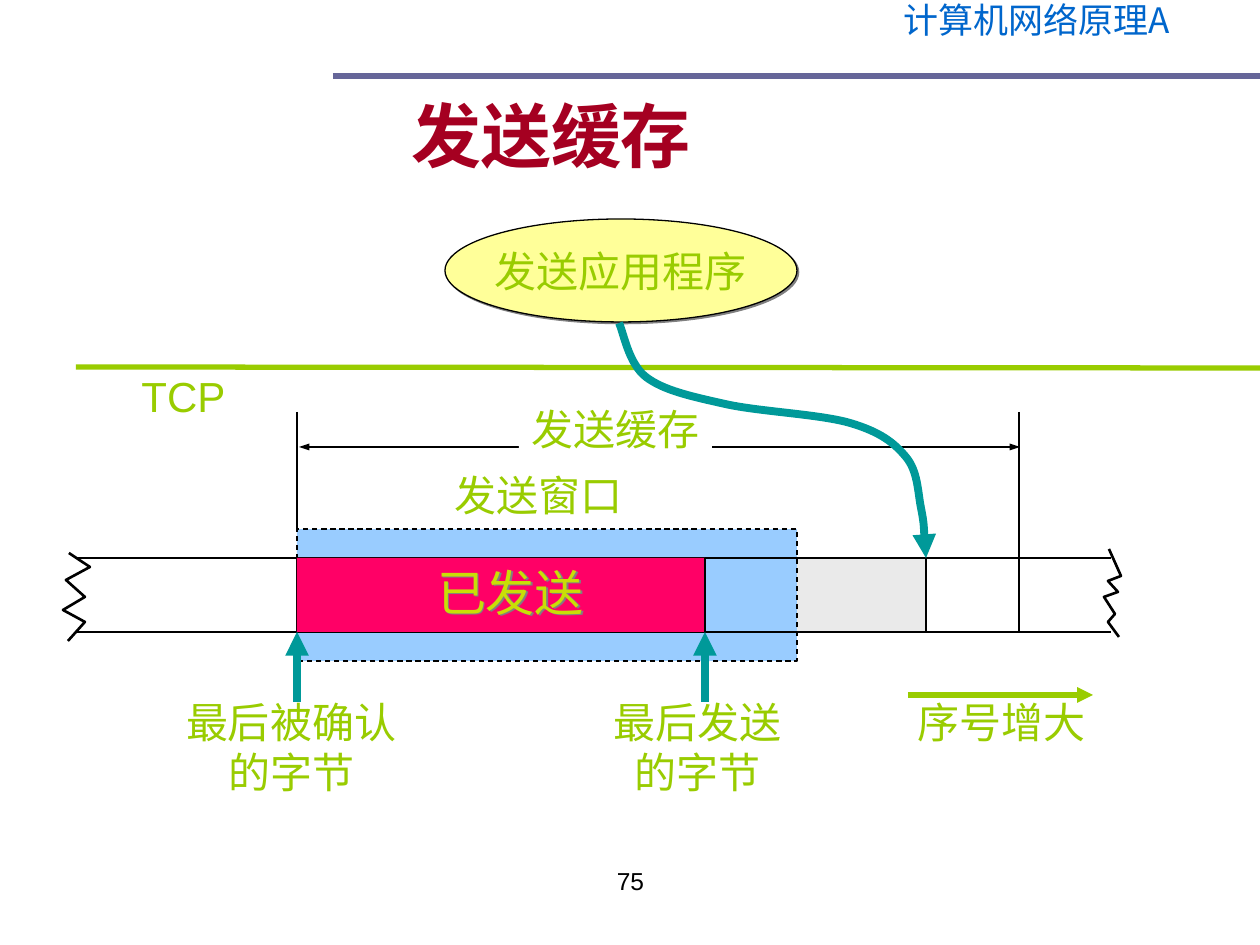
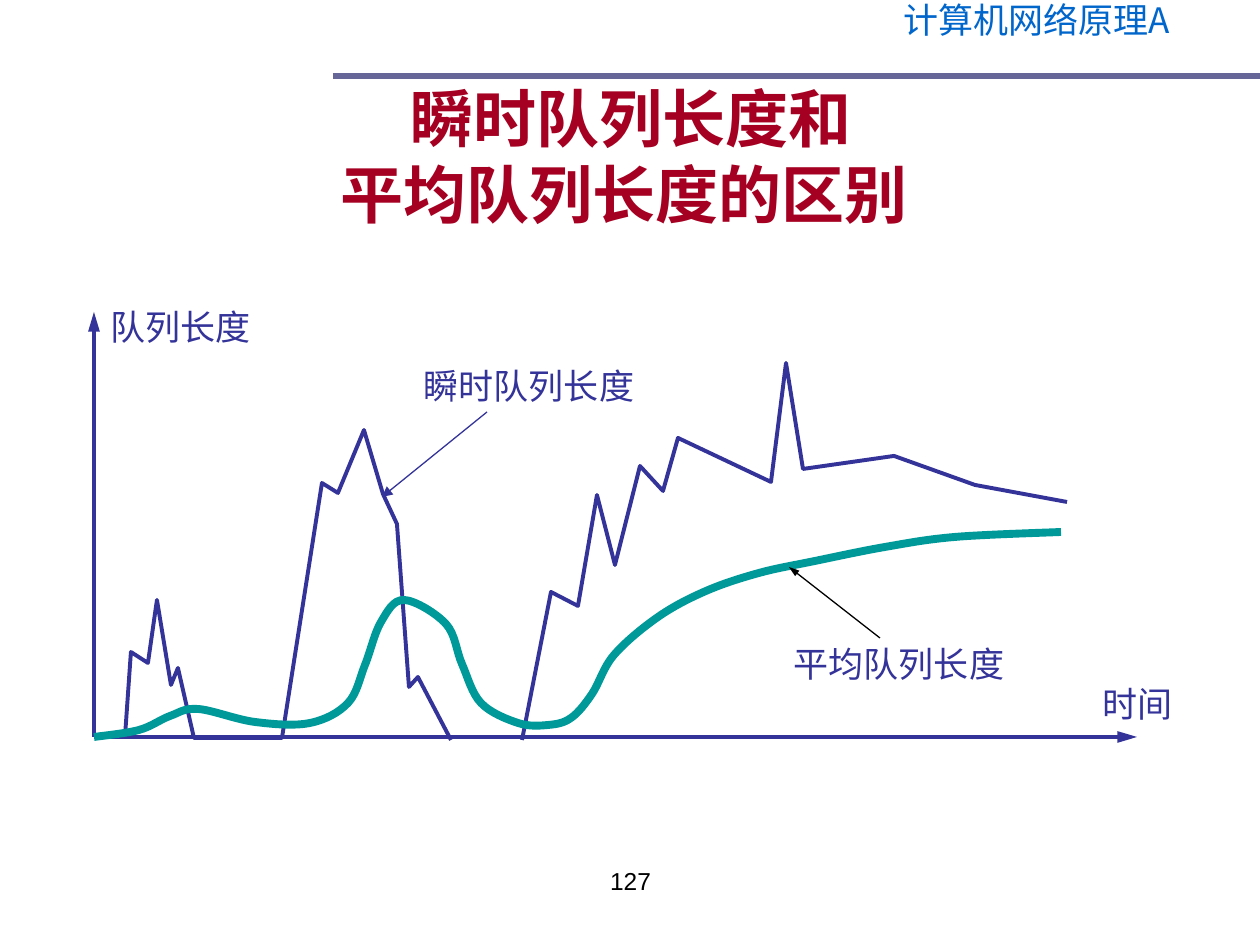
from dataclasses import dataclass

from lxml.etree import SubElement
from pptx import Presentation
from pptx.dml.color import RGBColor
from pptx.enum.dml import MSO_LINE
from pptx.enum.shapes import MSO_CONNECTOR, MSO_SHAPE
from pptx.enum.text import MSO_ANCHOR, PP_ALIGN
from pptx.oxml.ns import qn
from pptx.util import Emu, Pt

EMU_PER_PX = 914400 / 126
SLIDE_SIZE = (1260, 945)


@dataclass(frozen=True)
class Theme:
    title: str = "A50021"
    course: str = "0066CC"
    rule: str = "666699"
    lime: str = "99CC00"
    teal: str = "009999"
    indigo: str = "333399"
    black: str = "000000"
    white: str = "FFFFFF"
    app: str = "FFFF99"
    window: str = "99CCFF"
    sent: str = "FF0066"
    sent_text: str = "C9DE06"
    unsent: str = "EAEAEA"
    shadow: str = "808080"
    sans: str = "Arial"
    serif: str = "Times New Roman"
    cjk: str = "Noto Sans CJK SC"
    thin: float = 0.75
    torn: float = 1.5
    plot: float = 2.25
    rule_width: float = 3
    thick: float = 4.5


T = Theme()
THIN = {"color": T.black, "width": T.thin}
TORN = {"color": T.black, "width": T.torn}
LIME = {"color": T.lime, "width": T.rule_width}
TEAL = {"color": T.teal, "width": T.thick}
INDIGO = {"color": T.indigo, "width": T.plot}
TO_END = {"ends": ("tailEnd",)}
BOTH_ENDS = {"ends": ("headEnd", "tailEnd")}
NARROW_HEAD = {"head": {"w": "sm"}}
LONG_HEAD = {"head": {"len": "lg"}}

BUFFER_TEXT = {"size": 24, "color": T.lime, "font": T.sans}
SENT_TEXT = {"size": 28, "color": T.sent_text, "font": T.sans, "shadow": True}
QUEUE_TEXT = {"size": 20, "color": T.indigo, "font": T.serif}
COURSE_TEXT = {"size": 20, "color": T.course, "font": T.cjk, "spacing": 0.8}
NUMBER_TEXT = {"size": 14, "color": T.black, "font": T.sans, "wrap": True}
TITLE_TEXT = {"color": T.title, "font": T.sans, "bold": True, "wrap": True,
              "anchor": MSO_ANCHOR.MIDDLE}

COURSE = "计算机网络原理A"
ACKED, SENT, WINDOW_END, WRITTEN, BUFFER_END = 297, 705, 797, 926, 1019
BAND_TOP, BAND_BOTTOM, BAND_LEFT, BAND_RIGHT = 558, 632, 76, 1111
BAND_HEIGHT = BAND_BOTTOM - BAND_TOP
MARGIN = 29
MARK_TOP, POINTER_START = 412, 702
ORIGIN = (94, 737)

SEND_BUFFER = [
    ("line", (299, 447), (1020, 447), THIN | BOTH_ENDS | NARROW_HEAD),
    ("label", (174, 690, 234, 113), ["最后被确认", "的字节"], BUFFER_TEXT),
    ("block", (SENT, BAND_TOP, WRITTEN - SENT, BAND_HEIGHT), {"fill": T.unsent}),
    ("block", (445, 219, 352, 103),
     {"fill": T.app, "line": THIN, "preset": MSO_SHAPE.OVAL, "shadow": True,
      "lines": ["发送应用程序"], "text": BUFFER_TEXT}),
    ("line", (76, 367), (1260, 368), LIME),
    ("block", (ACKED, BAND_TOP - MARGIN, WINDOW_END - ACKED, BAND_HEIGHT + 2 * MARGIN),
     {"fill": T.window, "line": THIN | {"dash": MSO_LINE.DASH}}),
    *[("line", (BAND_LEFT, y), (BAND_RIGHT, y), THIN) for y in (BAND_TOP, BAND_BOTTOM)],
    *[("line", (x, BAND_TOP), (x, BAND_BOTTOM), THIN) for x in (ACKED, WRITTEN)],
    ("label", (519, 397, 193, 63), ["发送缓存"], BUFFER_TEXT | {"fill": T.white}),
    ("label", (601, 690, 193, 113), ["最后发送", "的字节"], BUFFER_TEXT),
    ("label", (442, 463, 193, 63), ["发送窗口"], BUFFER_TEXT),
    ("block", (ACKED, BAND_TOP, SENT - ACKED, BAND_HEIGHT), {"fill": T.sent}),
    ("line", (SENT, BAND_TOP), (SENT, BAND_BOTTOM), THIN),
    ("label", (425, 556, 171, 72), ["已发送"], SENT_TEXT),
    *[("line", (x, POINTER_START), (x, BAND_BOTTOM), TEAL | TO_END)
      for x in (ACKED, SENT)],
    ("line", (ACKED, MARK_TOP), (ACKED, BAND_TOP - MARGIN), THIN),
    ("line", (BUFFER_END, MARK_TOP), (BUFFER_END, BAND_BOTTOM), THIN),
    ("trace", [(619, 323), (646, 377), (725, 404), (850, 423), (906, 457),
               (921, 508), (WRITTEN, BAND_TOP)], TEAL | TO_END | {"curved": True}),
    ("label", (129, 364, 109, 63), ["TCP"], BUFFER_TEXT),
    ("trace", [(1109, 549), (1121, 576), (1108, 581), (1118, 592), (1104, 597),
               (1115, 614), (1108, 622), (1119, 637)], TORN),
    ("trace", [(69, 553), (90, 567), (66, 580), (85, 597), (63, 610),
               (85, 622), (68, 641)], TORN),
    ("line", (908, 695), (1093, 695), LIME | TO_END),
    ("label", (905, 690, 193, 63), ["序号增大"], BUFFER_TEXT),
]

QUEUE_LENGTHS = [
    ("label", (98, 299, 165, 55), ["队列长度"], QUEUE_TEXT),
    ("line", ORIGIN, (1137, 737), INDIGO | TO_END | LONG_HEAD),
    ("line", ORIGIN, (94, 312), INDIGO | TO_END | LONG_HEAD),
    ("label", (1091, 676, 94, 55), ["时间"], QUEUE_TEXT),
    ("trace", [(125, 737), (131, 652), (148, 663), (157, 600), (171, 685), (178, 668),
               (194, 738), (282, 738), (322, 483), (338, 493), (364, 430), (383, 494),
               (397, 524), (409, 687), (418, 677), (451, 740)], INDIGO),
    ("trace", [(522, 740), (551, 592), (578, 606), (597, 495), (615, 565), (640, 466),
               (663, 491), (678, 438), (771, 482), (786, 363), (803, 469), (894, 456),
               (975, 485), (1067, 502)], INDIGO),
    ("trace", [ORIGIN, (139, 730), (170, 716), (198, 709), (255, 722), (310, 723),
               (348, 703), (365, 665), (381, 622), (404, 600), (446, 624), (462, 664),
               (481, 703), (518, 723), (548, 725), (571, 718), (592, 694), (614, 655),
               (658, 617), (706, 591), (759, 573), (815, 561), (885, 547), (955, 537),
               (1061, 532)], TEAL | {"curved": True}),
    ("label", (411, 358, 236, 55), ["瞬时队列长度"], QUEUE_TEXT),
    ("label", (781, 636, 236, 55), ["平均队列长度"], QUEUE_TEXT),
    ("line", (487, 412), (382, 497), INDIGO | TO_END | {"width": T.thin}),
    ("line", (880, 638), (789, 567), THIN | TO_END | NARROW_HEAD),
]

SLIDES = [
    {"title": ["发送缓存 "], "box": (64, 55, 990, 158), "size": 40,
     "number": "75", "parts": SEND_BUFFER},
    {"title": ["瞬时队列长度和", "平均队列长度的区别 "], "box": (64, 76, 1134, 158),
     "size": 36, "number": "127", "parts": QUEUE_LENGTHS},
]


def px(*lengths):
    return [Emu(round(length * EMU_PER_PX)) for length in lengths]


def assign(target, values):
    for name, value in values.items():
        setattr(target, name, value)


def paint(fill, color):
    fill.solid()
    fill.fore_color.rgb = RGBColor.from_string(color)


def stroke(line, style):
    paint(line.fill, style["color"])
    line.width = Pt(style["width"])
    if "dash" in style:
        line.dash_style = style["dash"]
    for end in style.get("ends", ()):
        SubElement(line._get_or_add_ln(), qn(f"a:{end}"), type="triangle",
                   **style.get("head", {}))


def cast_shadow(shape):
    shape.shadow.inherit = False
    effects = shape._element.spPr.find(qn("a:effectLst"))
    shadow = SubElement(effects, qn("a:outerShdw"), dist="17780", dir="2700000",
                        algn="ctr", rotWithShape="0")
    SubElement(shadow, qn("a:srgbClr"), val=T.shadow)


def write(frame, lines, style):
    assign(frame, {"word_wrap": style.get("wrap", False),
                   "vertical_anchor": style.get("anchor", MSO_ANCHOR.TOP),
                   "margin_left": 0, "margin_right": 0})
    for index, line in enumerate(lines):
        paragraph = frame.add_paragraph() if index else frame.paragraphs[0]
        assign(paragraph, {"alignment": PP_ALIGN.CENTER,
                           "line_spacing": style.get("spacing")})
        run = paragraph.add_run()
        run.text = line
        assign(run.font, {"size": Pt(style["size"]), "bold": style.get("bold", False),
                          "name": style["font"]})
        paint(run.font.fill, style["color"])
        SubElement(run.font._element, qn("a:ea"), typeface=T.cjk)


def add_label(shapes, box, lines, style):
    label = shapes.add_textbox(*px(*box))
    if "fill" in style:
        paint(label.fill, style["fill"])
    if "shadow" in style:
        cast_shadow(label)
    write(label.text_frame, lines, style)


def add_block(shapes, box, style):
    block = shapes.add_shape(style.get("preset", MSO_SHAPE.RECTANGLE), *px(*box))
    block.shadow.inherit = False
    paint(block.fill, style["fill"])
    if "line" in style:
        stroke(block.line, style["line"])
    else:
        block.line.fill.background()
    if "shadow" in style:
        cast_shadow(block)
    if "lines" in style:
        write(block.text_frame, style["lines"],
              style["text"] | {"anchor": MSO_ANCHOR.MIDDLE})


def add_line(shapes, start, end, style):
    line = shapes.add_connector(MSO_CONNECTOR.STRAIGHT, *px(*start, *end))
    stroke(line.line, style)
    SubElement(line._element.spPr, qn("a:effectLst"))


def smooth(outline):
    knots = [(int(point.get("x")), int(point.get("y")))
             for point in outline.iter(qn("a:pt"))]
    spans = zip(knots[:1] + knots, knots, knots[1:], knots[2:] + knots[-1:])
    for segment, (before, start, end, after) in zip(outline.findall(qn("a:lnTo")), spans):
        segment.tag = qn("a:cubicBezTo")
        controls = [
            [s + (e - b) / 6 for b, s, e in zip(before, start, end)],
            [e - (a - s) / 6 for s, e, a in zip(start, end, after)],
        ]
        for index, (x, y) in enumerate(controls):
            point = SubElement(segment, qn("a:pt"), x=str(round(x)), y=str(round(y)))
            segment.insert(index, point)


def add_trace(shapes, points, style):
    start, *rest = [px(*point) for point in points]
    builder = shapes.build_freeform(*start)
    builder.add_line_segments(rest, close=False)
    trace = builder.convert_to_shape()
    trace.shadow.inherit = False
    trace.fill.background()
    stroke(trace.line, style)
    if style.get("curved"):
        smooth(trace._element.find(".//" + qn("a:path")))


DRAW = {"label": add_label, "block": add_block, "line": add_line, "trace": add_trace}


def add_frame(shapes, content):
    add_label(shapes, (848, 0, 377, 55), [COURSE], COURSE_TEXT)
    add_line(shapes, (333, 76), (1260, 76), {"color": T.rule, "width": T.rule_width})
    add_label(shapes, content["box"], content["title"],
              TITLE_TEXT | {"size": content["size"]})
    add_label(shapes, (431, 860, 399, 66), [content["number"]], NUMBER_TEXT)


def main():
    deck = Presentation()
    deck.slide_width, deck.slide_height = px(*SLIDE_SIZE)
    for content in SLIDES:
        shapes = deck.slides.add_slide(deck.slide_layouts[6]).shapes
        add_frame(shapes, content)
        for kind, *details in content["parts"]:
            DRAW[kind](shapes, *details)
    deck.save("out.pptx")


if __name__ == "__main__":
    main()
